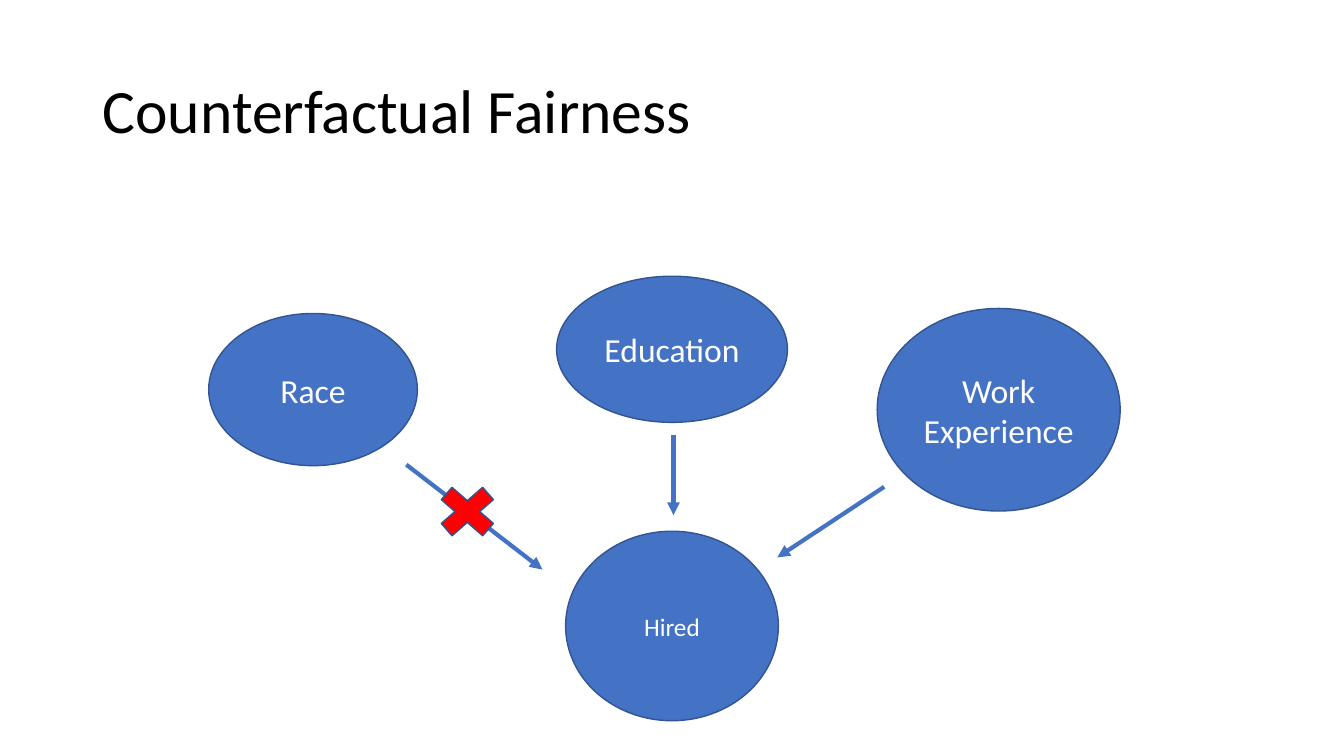
from lxml.etree import SubElement
from pptx import Presentation
from pptx.dml.color import RGBColor
from pptx.enum.shapes import MSO_CONNECTOR, MSO_SHAPE
from pptx.enum.text import MSO_ANCHOR, PP_ALIGN
from pptx.oxml.ns import qn
from pptx.util import Inches, Pt

BLUE = RGBColor(0x44, 0x72, 0xC4)
DARK_BLUE = RGBColor(0x32, 0x54, 0x91)
RED = RGBColor(0xFF, 0x00, 0x00)
WHITE = RGBColor(0xFF, 0xFF, 0xFF)
BLACK = RGBColor(0x00, 0x00, 0x00)

presentation = Presentation()
presentation.slide_width = Inches(13.33)
presentation.slide_height = Inches(7.5)
slide = presentation.slides.add_slide(presentation.slide_layouts[6])


def add_outlined_shape(preset, box, fill_color):
    shape = slide.shapes.add_shape(preset, *[Inches(length) for length in box])
    shape.shadow.inherit = False
    shape.fill.solid()
    shape.fill.fore_color.rgb = fill_color
    shape.line.color.rgb = DARK_BLUE
    shape.line.width = Pt(1)
    return shape


def add_text_run(paragraph, text, size, color):
    run = paragraph.add_run()
    run.text = text
    run.font.name = "Calibri"
    run.font.size = Pt(size)
    run.font.color.rgb = color


title = slide.shapes.add_textbox(Inches(0.92), Inches(0.4), Inches(11.5), Inches(1.45))
title.text_frame.word_wrap = True
title.text_frame.vertical_anchor = MSO_ANCHOR.MIDDLE
title_paragraph = title.text_frame.paragraphs[0]
title_paragraph.line_spacing = 0.9
add_text_run(title_paragraph, "Counterfactual Fairness", 44, BLACK)

factors = [
    (["Race"], (2.07, 3.11, 2.07, 1.51), 24),
    (["Hired"], (5.61, 5.27, 2.11, 1.88), 18),
    (["Work", "Experience"], (8.7, 3.06, 2.41, 2.01), 24),
    (["Education"], (5.52, 2.74, 2.29, 1.45), 24),
]
for lines, box, size in factors:
    ellipse = add_outlined_shape(MSO_SHAPE.OVAL, box, BLUE)
    text_frame = ellipse.text_frame
    text_frame.word_wrap = True
    text_frame.vertical_anchor = MSO_ANCHOR.MIDDLE
    for index, line in enumerate(lines):
        paragraph = text_frame.add_paragraph() if index else text_frame.paragraphs[0]
        paragraph.alignment = PP_ALIGN.CENTER
        add_text_run(paragraph, line, size, WHITE)

arrows = [
    (6.68, 4.32, 6.68, 5.11),
    (4.03, 4.61, 5.38, 5.65),
    (8.77, 4.83, 7.71, 5.53),
]
for ends in arrows:
    arrow = slide.shapes.add_connector(
        MSO_CONNECTOR.STRAIGHT, *[Inches(length) for length in ends]
    )
    arrow.line.color.rgb = BLUE
    arrow.line.width = Pt(3)
    SubElement(arrow.line._get_or_add_ln(), qn("a:tailEnd"), type="triangle")
    SubElement(arrow._element.spPr, qn("a:effectLst"))

add_outlined_shape(MSO_SHAPE.MATH_MULTIPLY, (4.24, 4.73, 0.79, 0.69), RED)

presentation.save("out.pptx")
